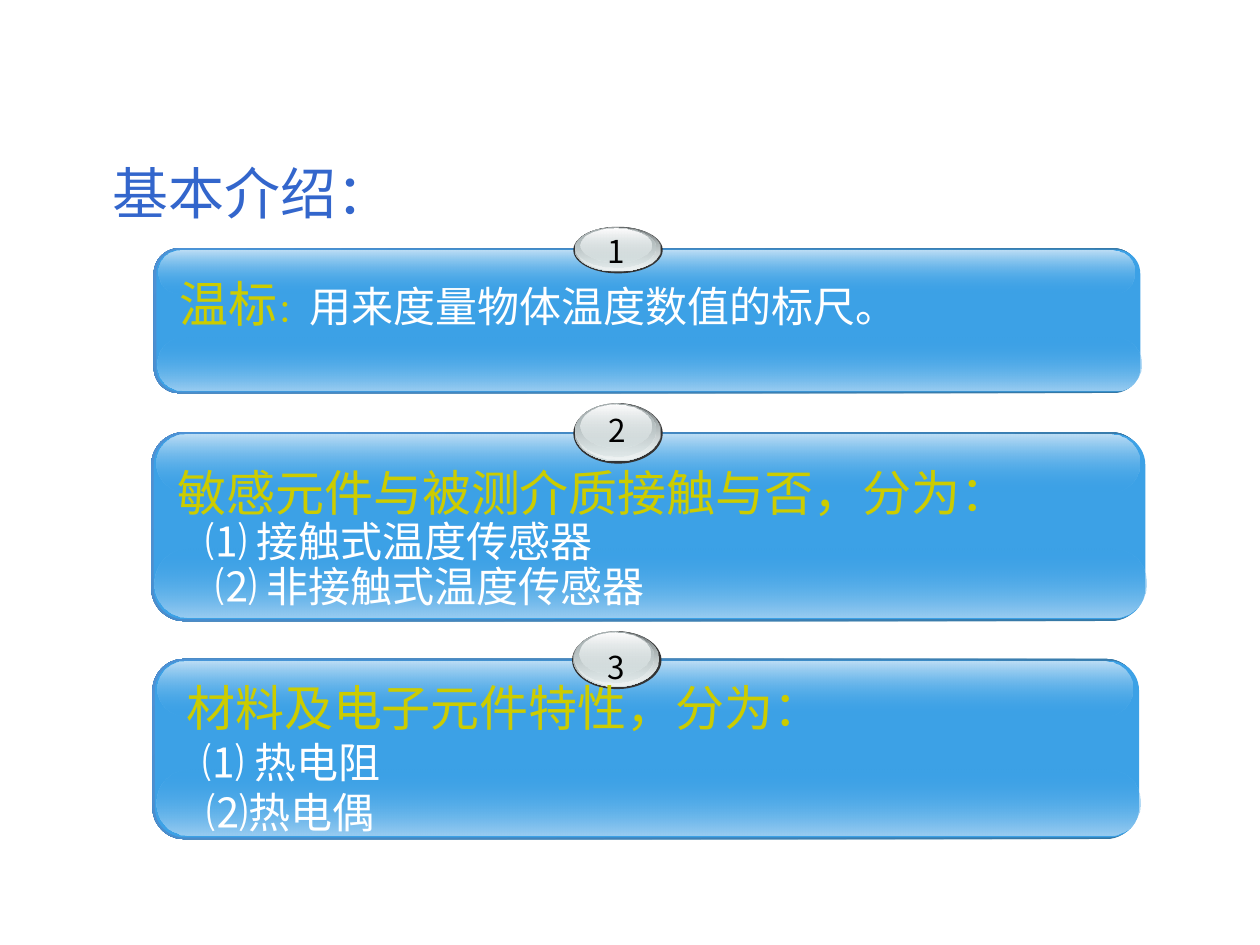
from lxml.etree import SubElement
from pptx import Presentation
from pptx.dml.color import RGBColor
from pptx.enum.shapes import MSO_SHAPE
from pptx.enum.text import MSO_ANCHOR, PP_ALIGN
from pptx.oxml.ns import qn
from pptx.util import Inches, Pt

WIDTH, HEIGHT = Inches(10), Inches(7.5)
COLS, ROWS = 1000, 750
FONT = "Noto Sans CJK JP"
COLORS = {
    "title": "3366CC", "heading": "CCCC00", "white": "FFFFFF", "black": "000000",
    "edge_dark": "3477A4", "edge": "4E91D4", "face": "3CA1E6",
    "glow": "9ACDF1", "sheen": "BDDEF5", "rim": "333333",
    "steel_dark": "626768", "steel": "D6E1E2", "steel_light": "EFF3F3",
    "steel_mid": "A8B1B2", "shine": "FEFEFE",
}

# Fills are either a color name or (start, start opacity, end, end opacity, angle).
CARD_LAYERS = [
    (0, 0, 0, 1, 0.175, ("edge_dark", 100, "edge", 100, 225)),
    (2, 0.01, 1, 0.98, 0.167, "face"),
    (3, 0.615, 1, 0.365, 0.5, ("face", 0, "glow", 100, 90)),
    (4, 0.015, 8, 0.3, 0.5, ("sheen", 100, "face", 0, 90)),
]
BADGE_LAYERS = [
    (0, 0, 71, 1, "rim"),
    (1, 0, 68, 0.96, ("steel_dark", 100, "steel", 100, 90)),
    (2, 0, 67, 0.94, ("steel", 0, "steel_light", 100, 90)),
    (2, 0.01, 63, 0.87, ("steel_mid", 100, "steel", 48, 90)),
    (6, 0.03, 56, 0.71, ("shine", 100, "steel", 38, 90)),
]
CARDS = [
    dict(card=(122, 197, 782, 115), badge=(455, 180, 37), number=(472, 179),
         text=(133, 212, 763, 57), indent=0, items=[], spacing=1,
         heading=[("温标", 28, "heading"), ("：", 18, "heading"),
                  ("用来度量物体温度数值的标尺。", 24, "white")]),
    dict(card=(120, 343, 788, 150), badge=(455, 320, 48), number=(473, 321),
         text=(131, 362, 768, 129), indent=0, spacing=0.9,
         heading=[("敏感元件与被测介质接触与否，分为：", 28, "heading")],
         items=[("⑴ 接触式温度传感器", 22), ("⑵ 非接触式温度传感器", 30)]),
    dict(card=(121, 523, 782, 143), badge=(454, 501, 46), number=(472, 509),
         text=(132, 533, 763, 137), indent=6, spacing=1,
         heading=[("材料及电子元件特性，分为：", 28, "heading")],
         items=[("⑴ 热电阻", 19), ("⑵热电偶", 22)]),
]


def box(x, y, w, h):
    return (round(x * WIDTH / COLS), round(y * HEIGHT / ROWS),
            round(w * WIDTH / COLS), round(h * HEIGHT / ROWS))


def rgb(name):
    return RGBColor.from_string(COLORS[name])


def paint(sp, fill):
    if isinstance(fill, str):
        sp.fill.solid()
        sp.fill.fore_color.rgb = rgb(fill)
        return
    start, start_alpha, end, end_alpha, angle = fill
    sp.fill.gradient()
    sp.fill.gradient_angle = 360 - angle
    for stop, position, name in zip(sp.fill.gradient_stops, (0, 1), (start, end)):
        stop.position = position
        stop.color.rgb = rgb(name)
    for gs, alpha in zip(sp.element.iter(qn("a:gs")), (start_alpha, end_alpha)):
        if alpha < 100:
            SubElement(gs[0], qn("a:alpha")).set("val", str(alpha * 1000))


def add_layer(shapes, kind, place, fill, radius=None):
    sp = shapes.add_shape(kind, *box(*place))
    sp.shadow.inherit = False
    sp.line.fill.background()
    if radius is not None:
        sp.adjustments[0] = radius
    paint(sp, fill)


def add_run(p, text, size=24, color="white", font=FONT):
    r = p.add_run()
    r.text = text
    r.font.name = font
    r.font.size = Pt(size)
    r.font.color.rgb = rgb(color)
    SubElement(r.font._element, qn("a:ea")).set("typeface", font)


def indent(p, cols):
    p._p.get_or_add_pPr().set("marL", str(box(cols, 0, 0, 0)[0]))


def add_card(shapes, place):
    x, y, w, h = place
    for dx, dy, trim, share, radius, fill in CARD_LAYERS:
        add_layer(shapes, MSO_SHAPE.ROUNDED_RECTANGLE,
                  (x + dx, y + dy * h, w - trim, share * h), fill, radius)


def add_badge(shapes, place, number_at, number):
    x, y, h = place
    for dx, dy, w, share, fill in BADGE_LAYERS:
        add_layer(shapes, MSO_SHAPE.OVAL, (x + dx, y + dy * h, w, share * h), fill)
    tf = shapes.add_textbox(*box(*number_at, 34, 40)).text_frame
    tf.word_wrap = False
    p = tf.paragraphs[0]
    p.alignment = PP_ALIGN.CENTER
    add_run(p, str(number), size=18, color="black")


def add_card_text(shapes, content):
    tf = shapes.add_textbox(*box(*content["text"])).text_frame
    tf.word_wrap = True
    p = tf.paragraphs[0]
    indent(p, content["indent"])
    for text, size, color in content["heading"]:
        add_run(p, text, size=size, color=color)
    for text, cols in content["items"]:
        p = tf.add_paragraph()
        indent(p, cols)
        p.line_spacing = content["spacing"]
        add_run(p, text)


def set_title(s, text):
    sp = s.shapes.title
    sp.left, sp.top, sp.width, sp.height = box(79, 118, 326, 69)
    tf = sp.text_frame
    tf.vertical_anchor = MSO_ANCHOR.MIDDLE
    p = tf.paragraphs[0]
    p.alignment = PP_ALIGN.LEFT
    add_run(p, text, size=32, color="title", font="DejaVu Sans")


def main():
    prs = Presentation()
    prs.slide_width, prs.slide_height = WIDTH, HEIGHT
    s = prs.slides.add_slide(prs.slide_layouts[5])
    set_title(s, "基本介绍：")
    for number, content in enumerate(CARDS, 1):
        shapes = s.shapes.add_group_shape().shapes
        add_card(shapes, content["card"])
        add_badge(shapes, content["badge"], content["number"], number)
        add_card_text(shapes, content)
    prs.save("out.pptx")


if __name__ == "__main__":
    main()
